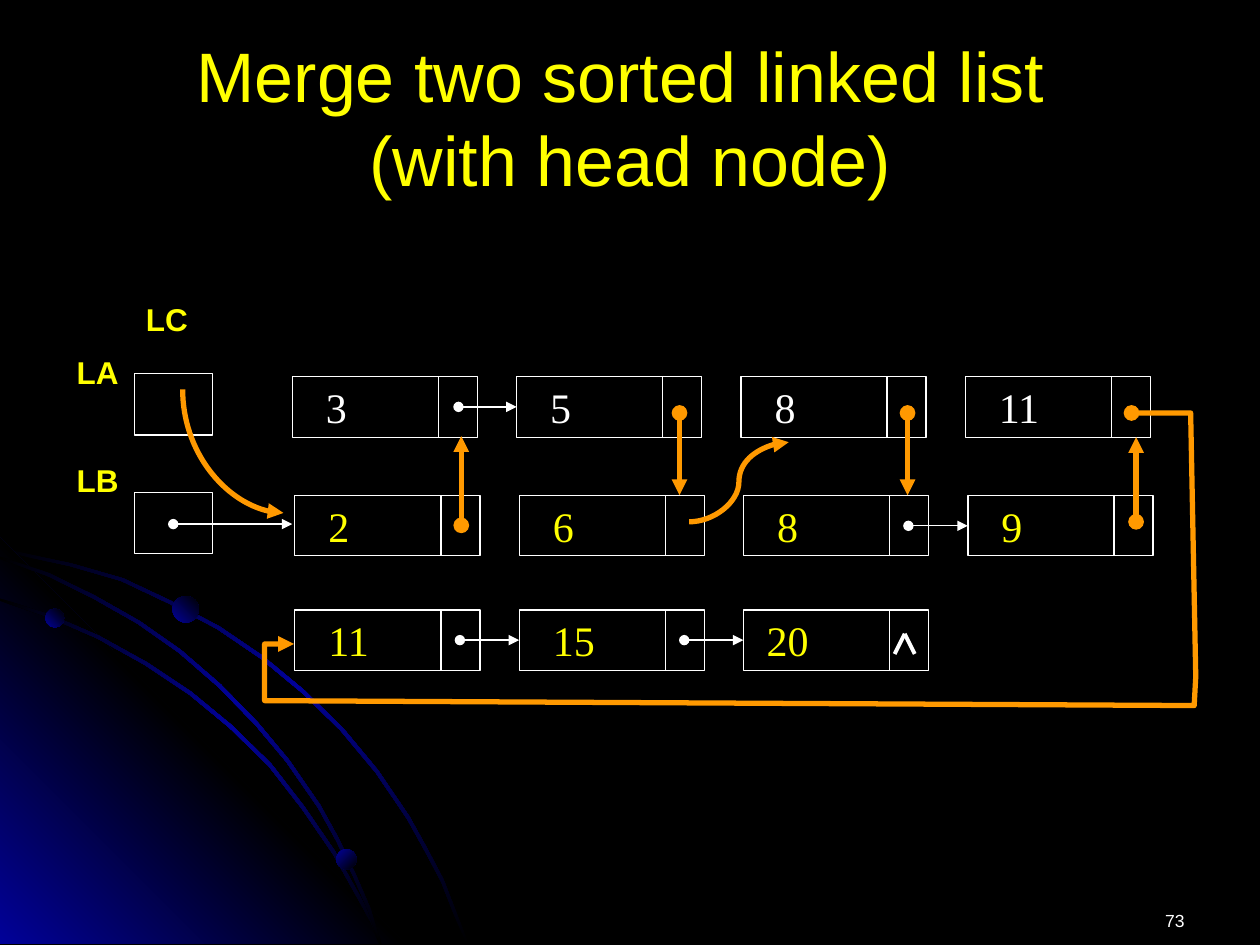
"""Build a slide that shows two sorted linked lists being merged."""
from dataclasses import dataclass

from lxml import etree
from pptx import Presentation
from pptx.dml.color import RGBColor
from pptx.enum import shapes, text
from pptx.oxml import ns
from pptx.util import Pt

WHITE, YELLOW, ORANGE, BLACK, NAVY = "FFFFFF", "FFFF00", "FF9900", "000000", "010199"
NODE_WIDTH, NODE_HEIGHT, NODE_STEP, DIVIDER = 105.8, 34.6, 128.2, 83.5
PAGE_BOTTOM, BAND_SHIFT = 539.3, 1.4


@dataclass
class Row:
    left: float
    top: float
    values: list[str]
    color: str


@dataclass
class Arrow:
    start: tuple[float, float]
    end: tuple[float, float]
    color: str = WHITE
    width: float = 0.75


@dataclass
class Label:
    words: str
    left: float
    top: float


ROWS = [
    Row(167, 215.3, ["3", "5", "8", "11"], WHITE),
    Row(168.5, 283, ["2", "6", "8", "9"], YELLOW),
    Row(168.5, 348.5, ["11", "15", "20"], YELLOW),
]
HEAD_TOPS = [213.6, 281.5]
LABELS = [Label("LA", 36.7, 198), Label("LB", 36.7, 260), Label("LC", 76.3, 167.8)]
ARROWS = [
    Arrow((262, 232.5), (295.2, 232.5)),
    Arrow((519.1, 300.5), (553, 300.5)),
    Arrow((262.8, 365.8), (296.6, 365.8)),
    Arrow((391, 365.8), (424.8, 365.8)),
    Arrow((99, 299.5), (167, 299.5)),
    Arrow((388.3, 236), (388.3, 283), ORANGE, 3),
    Arrow((518.6, 236), (518.6, 283), ORANGE, 3),
    Arrow((263.6, 300.2), (263.6, 249.2), ORANGE, 3),
    Arrow((649.2, 298.2), (649.2, 249.8), ORANGE, 3),
]
LOOP = [(646.6, 236), (680.4, 236), (683.3, 386.6), (682.4, 403.2),
        (151.2, 400.4), (151.2, 368), (168, 368)]
OUTER_BAND = [(0, 313), (20, 317.5), (41, 322), (70.5, 330.5), (98, 343.5),
              (125.5, 358), (150.5, 375), (174, 394.5), (196, 416), (216, 440),
              (234, 466.5), (244, 484.5), (253.5, 502.5), (260.5, 520.5), (268, 539.3)]
INNER_BAND = [(0, 342), (29.5, 351.5), (57, 363.5), (84, 378.5), (109.5, 395.5),
              (132.5, 414.5), (155, 436.5), (174, 461), (191.5, 486.5),
              (206, 512.5), (213, 525.5), (218, 539.3)]
MIDDLE_BAND = [(0, 318), (28, 327.5), (54.5, 340.5), (80, 355), (103.5, 371.5),
               (126, 391), (147, 412.5), (165, 434), (183, 460), (193.5, 479),
               (203, 499), (211.5, 518.5), (218, 539.3)]
CORNER = [(0, 307.4), (231.8, PAGE_BOTTOM), (0, PAGE_BOTTOM)]
PLANETS = [(25.9, 347.8, 10.8, 315), (192.2, 485.3, 11.5, 45), (98.6, 340.6, 15.1, 315)]


def paint(target, color: str) -> None:
    """Give a fill or line format a solid colour."""
    target.solid()
    target.fore_color.rgb = RGBColor.from_string(color)


def set_gradient(shape, colors: list[str], angle: int) -> None:
    """Fill a shape with evenly spaced colours and no outline."""
    shape.shadow.inherit = False
    shape.line.fill.background()
    shape.fill.gradient()
    grad = shape._element.spPr.find(ns.qn("a:gradFill"))
    stops = grad.find(ns.qn("a:gsLst"))
    for stop in list(stops):
        stops.remove(stop)
    for index, color in enumerate(colors):
        stop = etree.SubElement(stops, ns.qn("a:gs"), pos=str(index * 100000 // (len(colors) - 1)))
        etree.SubElement(stop, ns.qn("a:srgbClr"), val=color)
    grad.find(ns.qn("a:lin")).set("ang", str(angle * 60000))


def set_line(shape, color: str, width: float, head: str = "none", tail: str = "none") -> None:
    """Set colour, width and end marks of an outline or connector."""
    paint(shape.line.fill, color)
    shape.line.width = Pt(width)
    line = shape.line._get_or_add_ln()
    for tag, kind in (("a:headEnd", head), ("a:tailEnd", tail)):
        if kind != "none":
            etree.SubElement(line, ns.qn(tag), type=kind)


def write(shape, words: str, size: float, color: str, font: str = "Arial", bold: bool = False):
    """Put formatted text in a shape and return its frame."""
    frame = shape.text_frame
    frame.text = words
    for span in frame.paragraphs[0].runs:
        span.font.size, span.font.name, span.font.bold = Pt(size), font, bold
        span.font.color.rgb = RGBColor.from_string(color)
    return frame


def add_outline(page, points: list[tuple[float, float]], close: bool):
    """Draw straight segments through the points."""
    places = [(Pt(x), Pt(y)) for x, y in points]
    builder = page.shapes.build_freeform(*places[0])
    builder.add_line_segments(places[1:], close=close)
    shape = builder.convert_to_shape()
    shape.shadow.inherit = False
    return shape


def add_band(page, edge: list[tuple[float, float]]) -> None:
    """Draw a thin curved band below its upper edge."""
    lower = [(max(x - BAND_SHIFT, 0), min(y + BAND_SHIFT, PAGE_BOTTOM)) for x, y in reversed(edge)]
    set_gradient(add_outline(page, edge + lower, True), [BLACK, NAVY, BLACK], 45)


def add_link(page, start: tuple[float, float], end: tuple[float, float], color: str, width: float,
             head: str = "none", tail: str = "none", kind=shapes.MSO_CONNECTOR.STRAIGHT):
    """Draw a connector between two points."""
    link = page.shapes.add_connector(kind, *(Pt(value) for value in start + end))
    etree.SubElement(link._element.spPr, ns.qn("a:effectLst"))
    effects = link._element.spPr[-1]
    set_line(link, color, width, head, tail)
    link._element.spPr.append(effects)
    return link


def add_box(page, left: float, top: float, width: float, height: float):
    """Draw an empty outlined rectangle."""
    box = page.shapes.add_shape(
        shapes.MSO_SHAPE.RECTANGLE, Pt(left), Pt(top), Pt(width), Pt(height))
    box.shadow.inherit = False
    box.fill.background()
    set_line(box, WHITE, 0.75)
    return box


def add_row(page, row: Row) -> None:
    """Draw the nodes of one row with their pointer cells."""
    for index, value in enumerate(row.values):
        left = row.left + index * NODE_STEP
        frame = write(add_box(page, left, row.top, NODE_WIDTH, NODE_HEIGHT),
                      value, 24, row.color, "Times New Roman")
        frame.margin_left = Pt(13.2 if value == "20" else 19.2)
        frame.vertical_anchor = text.MSO_ANCHOR.MIDDLE
        frame.paragraphs[0].alignment = text.PP_ALIGN.LEFT
        add_link(page, (left + DIVIDER, row.top), (left + DIVIDER, row.top + NODE_HEIGHT), WHITE, 0.75)


def main() -> None:
    """Build and save the deck."""
    deck = Presentation()
    deck.slide_width, deck.slide_height = Pt(720), Pt(540)
    page = deck.slides.add_slide(deck.slide_layouts[5])
    paint(page.background.fill, BLACK)

    add_band(page, OUTER_BAND)
    set_gradient(add_outline(page, CORNER, True), [NAVY, BLACK, NAVY], 315)
    add_band(page, INNER_BAND)
    add_band(page, MIDDLE_BAND)
    for left, top, size, angle in PLANETS:
        planet = page.shapes.add_shape(
            shapes.MSO_SHAPE.OVAL, Pt(left), Pt(top), Pt(size), Pt(size))
        set_gradient(planet, [NAVY, BLACK], angle)

    title = page.shapes.title
    title.left, title.top, title.width, title.height = Pt(36), Pt(21.6), Pt(648), Pt(90)
    frame = write(title, "Merge two sorted linked list \v(with head node)", 40, YELLOW)
    frame.auto_size = text.MSO_AUTO_SIZE.NONE
    frame.vertical_anchor = text.MSO_ANCHOR.MIDDLE
    frame.paragraphs[0].alignment = text.PP_ALIGN.CENTER

    for row in ROWS:
        add_row(page, row)
    for top in HEAD_TOPS:
        add_box(page, 77, top, 44.6, 35)
    for arrow in ARROWS:
        add_link(page, arrow.start, arrow.end, arrow.color, arrow.width, "oval", "triangle")
    for foot in (511.2, 522.7):
        add_link(page, (foot, 373.7), (517, 362.2), WHITE, 2.25)

    loop = add_outline(page, LOOP, False)
    loop.fill.background()
    set_line(loop, ORANGE, 3, "oval", "triangle")
    curve = shapes.MSO_CONNECTOR.CURVE
    add_link(page, (393.8, 298.2), (450.7, 252.7), ORANGE, 3, tail="triangle", kind=curve)
    bend = add_link(page, (168.5, 229), (97.9, 286.6), ORANGE, 3, tail="triangle", kind=curve)
    bend._element.spPr.find(ns.qn("a:prstGeom")).set("prst", "curvedConnector2")
    bend._element.spPr.find(ns.qn("a:xfrm")).set("rot", str(270 * 60000))

    for label in LABELS:
        box = page.shapes.add_textbox(Pt(label.left), Pt(label.top), Pt(38.2), Pt(28.8))
        write(box, label.words, 18, YELLOW, bold=True).word_wrap = False
    number = page.shapes.add_textbox(Pt(516.2), Pt(504.7), Pt(167.8), Pt(36))
    frame = write(number, "73", 10, WHITE)
    frame.word_wrap, frame.margin_top = True, Pt(15.1)
    frame.paragraphs[0].alignment = text.PP_ALIGN.RIGHT

    deck.save("out.pptx")


if __name__ == "__main__":
    main()
